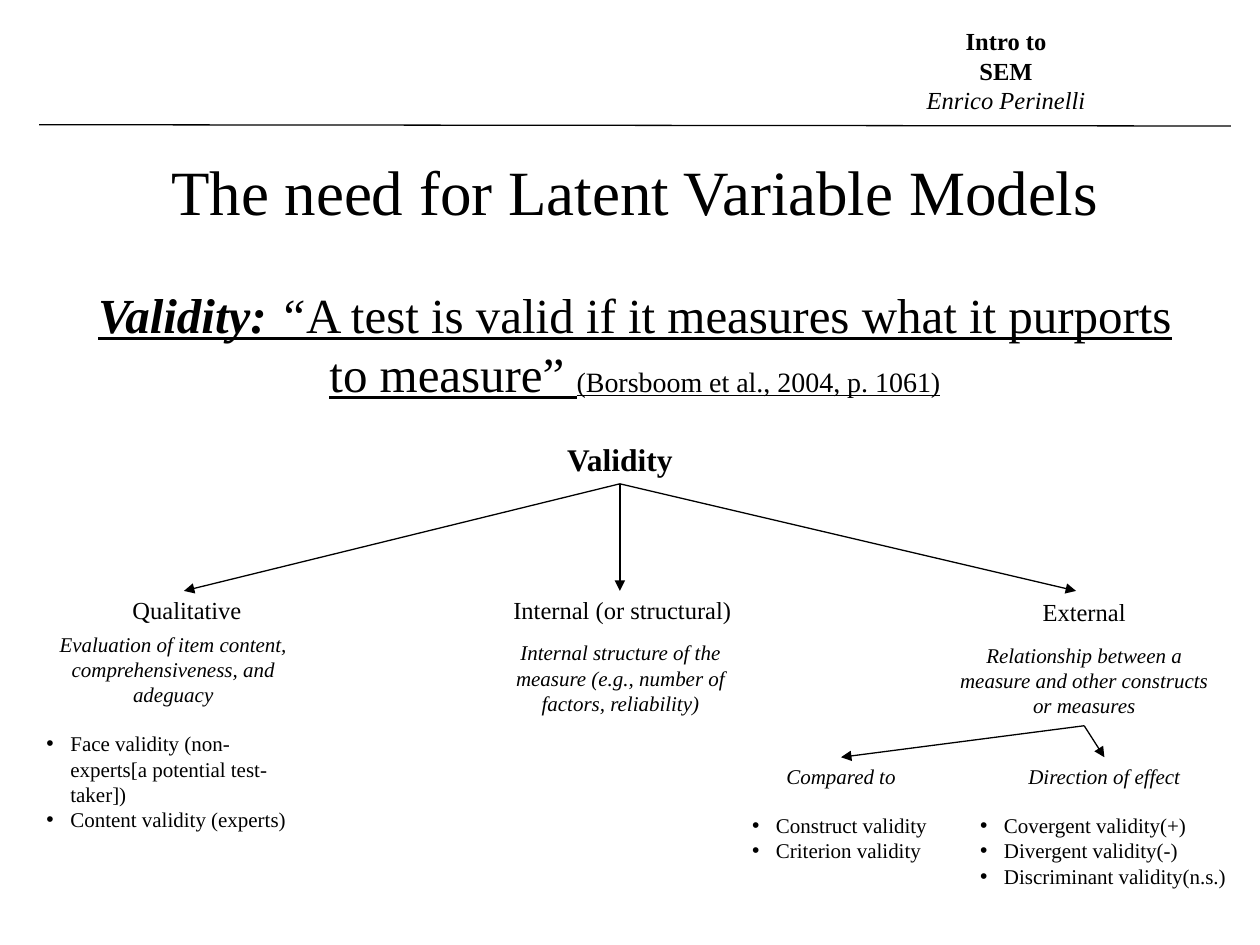
"""Build the slide on latent variable models and kinds of validity."""
from lxml.etree import SubElement
from pptx import Presentation
from pptx.dml.color import RGBColor
from pptx.enum.shapes import MSO_CONNECTOR
from pptx.enum.text import MSO_AUTO_SIZE, PP_ALIGN
from pptx.oxml.ns import qn
from pptx.util import Inches, Pt

FONT = "Times New Roman"
INK = "000000"
INDENT = 0.19

TITLE = [
    ([("The need for Latent Variable Models", 36, "")], 0),
    ([("Validity:", 28, "biu"),
      (" “", 28, "iu"),
      ("A test is valid if it measures what it purports to measure” ", 28, "u"),
      ("(Borsboom et al., 2004, p. 1061)", 16, "u")], 32.2),
]
COURSE = [
    ([("Intro to", 14, "b")], 0),
    ([("SEM", 14, "b")], 0),
    ([("Enrico Perinelli", 14, "i")], 0),
]
LABELS = [
    ("Validity", (0.31, 3.44, 9.22, 0.4), 18, "b", True),
    ("Qualitative", (0.95, 4.67, 1.07, 0.34), 14, "", False),
    ("Internal (or structural)", (3.97, 4.67, 1.94, 0.34), 14, "", False),
    ("External", (8.17, 4.69, 0.87, 0.34), 14, "", False),
]
NOTES = [
    ("Evaluation of item content, comprehensiveness, and adeguacy",
     (0.27, 4.96, 2.21, 1.72), True,
     ["Face validity (non-experts[a potential test-taker])",
      "Content validity (experts)"]),
    ("Internal structure of the measure (e.g., number of factors, reliability)",
     (3.82, 5.03, 2.21, 0.71), True, []),
    ("Relationship between a measure and other constructs or measures",
     (7.5, 5.05, 2.21, 0.71), True, []),
    ("Compared to", (5.87, 6.01, 1.61, 0.91), False,
     ["Construct validity", "Criterion validity"]),
    ("Direction of effect", (7.68, 6.01, 2.17, 1.11), True,
     ["Covergent validity(+)", "Divergent validity(-)",
      "Discriminant validity(n.s.)"]),
]
RULE = (0.31, 0.99, 9.77, 1)
ROOT = (4.92, 3.84)
TIPS = [(1.46, 4.69), (4.92, 4.69), (8.54, 4.69)]
FORK = (8.6, 5.76)
ENDS = [(6.67, 6.01), (8.76, 6.01)]


def color(text):
    return RGBColor.from_string(text)


def add_box(slide, place, paras, wrap=True):
    box = slide.shapes.add_textbox(*map(Inches, place))
    frame = box.text_frame
    frame.word_wrap = wrap
    frame.auto_size = MSO_AUTO_SIZE.SHAPE_TO_FIT_TEXT
    for i, (runs, gap, *dot) in enumerate(paras):
        para = frame.add_paragraph() if i else frame.paragraphs[0]
        para.alignment = PP_ALIGN.LEFT if dot else PP_ALIGN.CENTER
        if gap:
            para.space_before = Pt(gap)
        if dot:
            add_dot(para)
        for text, size, style in runs:
            run = para.add_run()
            run.text = text
            font = run.font
            font.name, font.size = FONT, Pt(size)
            font.color.rgb = color(INK)
            font.bold, font.italic = "b" in style, "i" in style
            font.underline = "u" in style
    return box


def add_dot(para):
    props = para._p.get_or_add_pPr()
    props.set("marL", str(Inches(INDENT)))
    props.set("indent", str(-Inches(INDENT)))
    SubElement(props, qn("a:buFont"), typeface="Arial")
    SubElement(props, qn("a:buChar"), char="•")


def add_line(slide, start, end, arrow=True):
    line = slide.shapes.add_connector(
        MSO_CONNECTOR.STRAIGHT, *map(Inches, (*start, *end)))
    line.line.color.rgb = color(INK)
    line.line.width = Pt(0.75)
    if arrow:
        SubElement(line.line._get_or_add_ln(), qn("a:tailEnd"), type="triangle")
    SubElement(line._element.spPr, qn("a:effectLst"))
    return line


def main():
    deck = Presentation()
    deck.slide_width, deck.slide_height = Inches(10), Inches(7.5)
    slide = deck.slides.add_slide(deck.slide_layouts[6])

    add_line(slide, RULE[:2], RULE[2:], arrow=False)
    add_box(slide, (0.51, 1.16, 9.06, 2.12), TITLE)
    add_box(slide, (7.25, 0.16, 1.47, 0.81), COURSE, wrap=False)

    labels = [add_box(slide, place, [([(text, size, style)], 0)], wrap)
              for text, place, size, style, wrap in LABELS]
    notes = []
    for text, place, wrap, items in NOTES:
        paras = [([(text, 12, "i")], 0)]
        paras += [([(item, 12, "")], 0 if i else 13.8, "dot")
                  for i, item in enumerate(items)]
        notes.append(add_box(slide, place, paras, wrap))

    for tip in TIPS:
        add_line(slide, ROOT, tip).begin_connect(labels[0], 2)
    for end, note in zip(ENDS, notes[3:]):
        line = add_line(slide, FORK, end)
        line.begin_connect(notes[2], 2)
        line.end_connect(note, 0)
    deck.save("out.pptx")


if __name__ == "__main__":
    main()
